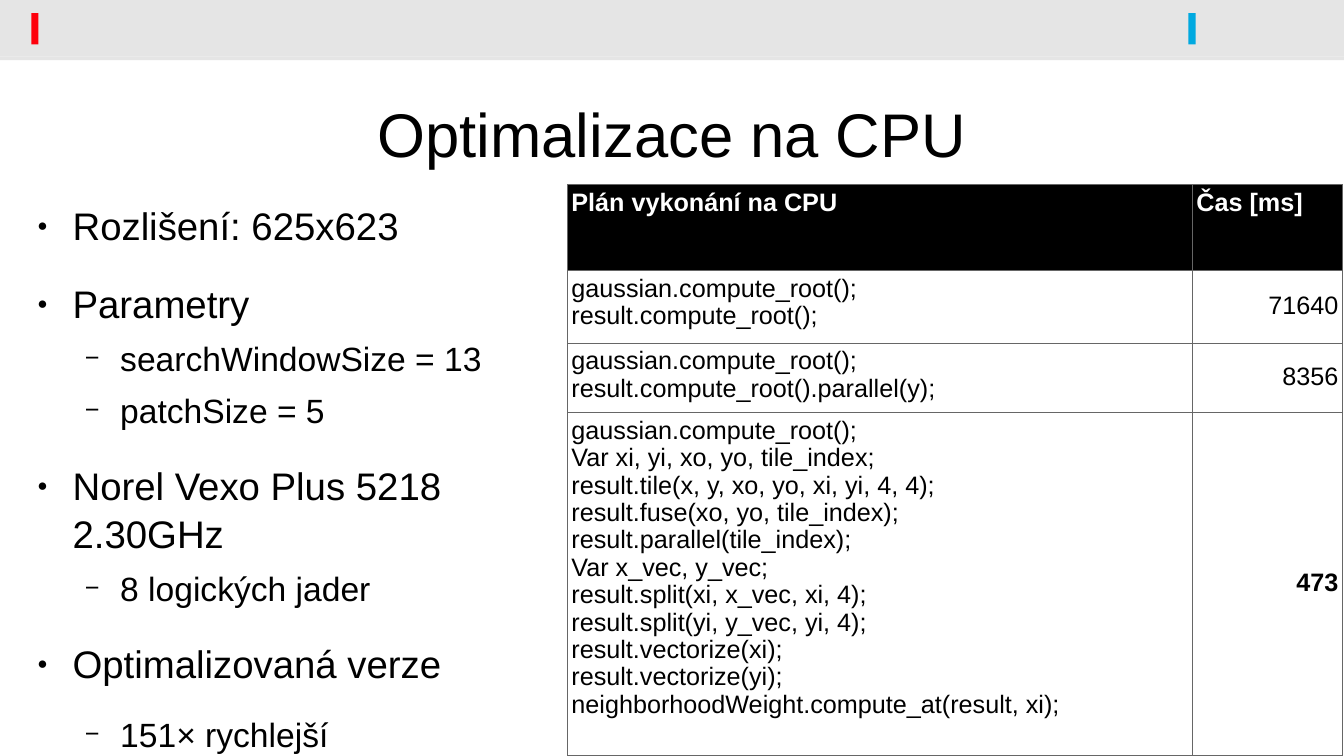
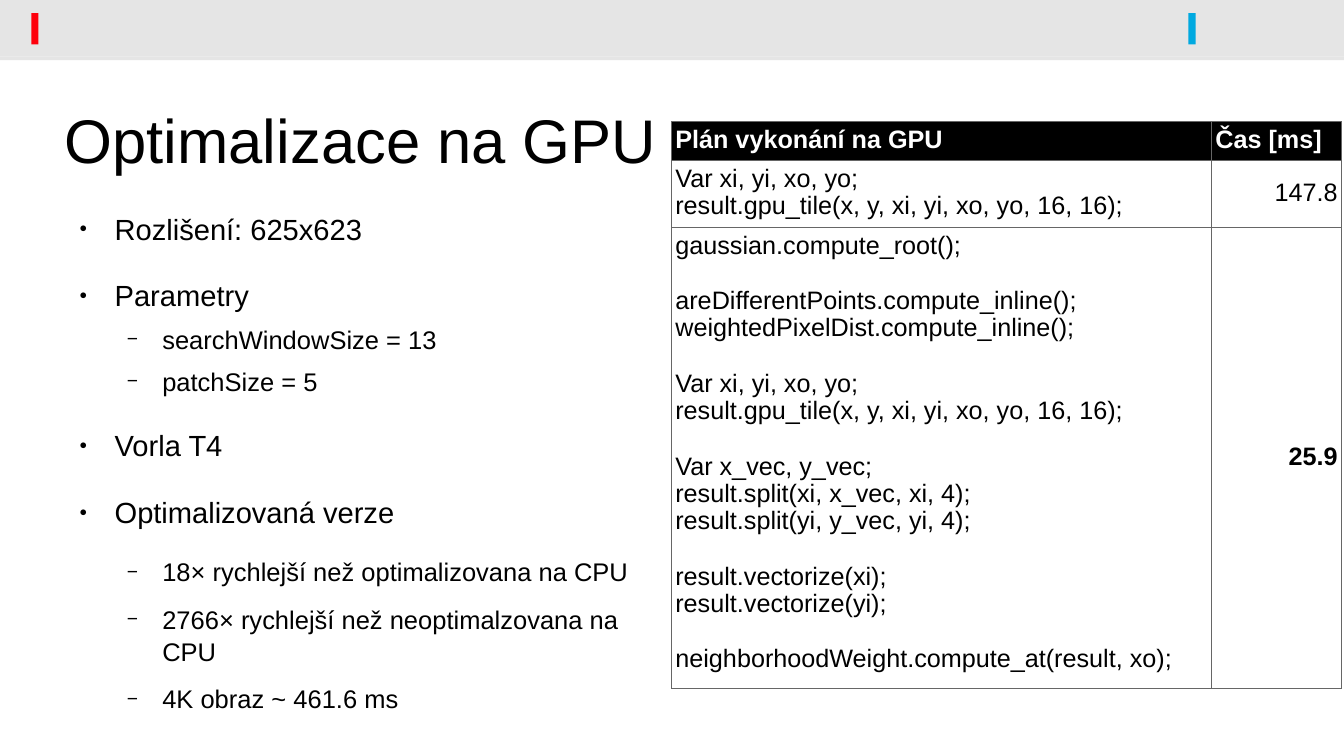
from dataclasses import dataclass

from lxml import etree
from pptx import Presentation
from pptx.dml.color import RGBColor
from pptx.enum.shapes import MSO_SHAPE
from pptx.enum.text import MSO_ANCHOR, MSO_AUTO_SIZE, PP_ALIGN
from pptx.oxml.ns import qn
from pptx.util import Cm, Pt

RECTANGLE = MSO_SHAPE.RECTANGLE
TOP, MIDDLE = MSO_ANCHOR.TOP, MSO_ANCHOR.MIDDLE
LEFT, CENTER, RIGHT = PP_ALIGN.LEFT, PP_ALIGN.CENTER, PP_ALIGN.RIGHT
NO_AUTOFIT = MSO_AUTO_SIZE.NONE


@dataclass(frozen=True)
class Theme:
    font: str = "Arial"
    text: str = "000000"
    paper: str = "FFFFFF"
    band: str = "E5E5E5"
    red: str = "FE000C"
    blue: str = "00A9E0"
    border: str = "666666"
    title_size: float = 44
    table_size: float = 18
    border_width: float = 0.57
    code_gap: float = 20
    code_spacing: float = 0.97
    list_spacing: float = 1.04


@dataclass(frozen=True)
class ListStyle:
    level: int
    margin: float
    bullet: str
    bullet_percent: int
    before: float
    after: float


THEME = Theme()
BULLET_HANG = 0.89
LIST_STYLES = {
    "topic": ListStyle(0, 1.19, "●", 45, 14.4, 7.2),
    "detail": ListStyle(1, 2.39, "−", 75, 0, 7.2),
    "result": ListStyle(1, 2.39, "−", 75, 11.3, 0),
}

# left, top, width, height in cm, fill
BANDS = [
    (0, 0, 33.87, 1.42, THEME.band),
    (0, 1.42, 33.87, 0.1, THEME.band),
    (0.79, 0.33, 0.18, 0.79, THEME.red),
    (29.95, 0.33, 0.18, 0.79, THEME.blue),
]

CPU_TILED = """gaussian.compute_root();
Var xi, yi, xo, yo, tile_index;
result.tile(x, y, xo, yo, xi, yi, 4, 4);
result.fuse(xo, yo, tile_index);
result.parallel(tile_index);
Var x_vec, y_vec;
result.split(xi, x_vec, xi, 4);
result.split(yi, y_vec, yi, 4);
result.vectorize(xi);
result.vectorize(yi);
neighborhoodWeight.compute_at(result, xi);"""

GPU_TILED = """gaussian.compute_root();

areDifferentPoints.compute_inline();
weightedPixelDist.compute_inline();

Var xi, yi, xo, yo;
result.gpu_tile(x, y, xi, yi, xo, yo, 16, 16);

Var x_vec, y_vec;
result.split(xi, x_vec, xi, 4);
result.split(yi, y_vec, yi, 4);

result.vectorize(xi);
result.vectorize(yi);

neighborhoodWeight.compute_at(result, xo);"""

SETUP = [
    ("topic", "Rozlišení: 625x623"),
    ("topic", "Parametry"),
    ("detail", "searchWindowSize = 13"),
    ("detail", "patchSize = 5"),
]

SLIDES = [
    {
        "title": "Optimalizace na CPU",
        "title_box": (1.7, 1.75, 30.48, 3.18),
        "list_box": (0.64, 5.05, 14.17, 13.36),
        "list_sizes": (27.4, 24),
        "items": SETUP + [
            ("topic", "Norel Vexo Plus 5218 2.30GHz"),
            ("detail", "8 logických jader"),
            ("topic", "Optimalizovaná verze"),
            ("result", "151× rychlejší"),
        ],
        "table_corner": (14.3, 4.65),
        "columns": (15.75, 3.78),
        "row_heights": (2.16, 1.83, 1.75, 8.64),
        "rows": [
            ("Plán vykonání na CPU", "Čas [ms]"),
            ("gaussian.compute_root();\nresult.compute_root();", "71640"),
            ("gaussian.compute_root();\nresult.compute_root().parallel(y);", "8356"),
            (CPU_TILED, "473"),
        ],
    },
    {
        "title": "Optimalizace na GPU",
        "title_box": (1.27, 1.91, 15.65, 3.18),
        "list_box": (1.7, 5.28, 14.17, 12.73),
        "list_sizes": (20.8, 18.2),
        "items": SETUP + [
            ("topic", "Vorla T4"),
            ("topic", "Optimalizovaná verze"),
            ("result", "18× rychlejší než optimalizovana na CPU"),
            ("result", "2766× rychlejší než neoptimalzovana na CPU"),
            ("result", "4K obraz ~ 461.6 ms"),
        ],
        "table_corner": (16.92, 3.07),
        "columns": (13.61, 3.28),
        "row_heights": (0.97, 1.68, 11.63),
        "rows": [
            ("Plán vykonání na GPU", "Čas [ms]"),
            ("Var xi, yi, xo, yo;\nresult.gpu_tile(x, y, xi, yi, xo, yo, 16, 16);", "147.8"),
            (GPU_TILED, "25.9"),
        ],
    },
]


def style_font(font, size, color=THEME.text, bold=False):
    font.name = THEME.font
    font.size = Pt(size)
    font.bold = bold
    font.color.rgb = RGBColor.from_string(color)


def prepare_placeholder(shape, box, anchor):
    """Move a placeholder to a box in cm and clear its insets and autofit."""
    shape.left, shape.top, shape.width, shape.height = map(Cm, box)
    frame = shape.text_frame
    frame.margin_left = frame.margin_top = frame.margin_right = frame.margin_bottom = 0
    frame.word_wrap = True
    frame.auto_size = NO_AUTOFIT
    frame.vertical_anchor = anchor
    return frame


presentation = Presentation()
presentation.slide_width = Cm(33.87)
presentation.slide_height = Cm(19.05)
layout = presentation.slide_layouts[1]
slides = [presentation.slides.add_slide(layout) for _ in SLIDES]

# The bands are drawn once and moved to the back of the master
master_tree = presentation.slide_master.shapes.element
for index, (left, top, width, height, color) in enumerate(BANDS):
    band = slides[0].shapes.add_shape(RECTANGLE, Cm(left), Cm(top), Cm(width), Cm(height))
    band.shadow.inherit = False
    band.fill.solid()
    band.fill.fore_color.rgb = RGBColor.from_string(color)
    band.line.fill.background()
    band.element.nvSpPr.cNvPr.set("id", str(20 + index))
    master_tree.insert(2 + index, band.element)

for slide, content in zip(slides, SLIDES):
    title_frame = prepare_placeholder(slide.shapes.title, content["title_box"], MIDDLE)
    title_frame.text = content["title"]
    title = title_frame.paragraphs[0]
    title.alignment = CENTER
    style_font(title.font, THEME.title_size)

    # Table of execution plans
    rows = content["rows"]
    left, top = content["table_corner"]
    table = slide.shapes.add_table(
        len(rows), 2, Cm(left), Cm(top),
        Cm(sum(content["columns"])), Cm(sum(content["row_heights"])),
    ).table
    table.horz_banding = False
    for column, width in zip(table.columns, content["columns"]):
        column.width = Cm(width)
    for row, height in zip(table.rows, content["row_heights"]):
        row.height = Cm(height)

    for row_index, row in enumerate(rows):
        header = row_index == 0
        for column_index, text in enumerate(row):
            is_time = column_index == 1 and not header
            best_time = is_time and row_index == len(rows) - 1
            cell = table.cell(row_index, column_index)
            cell.margin_left = cell.margin_right = Cm(0.1)
            cell.margin_top = cell.margin_bottom = Cm(0.13)
            cell.vertical_anchor = MIDDLE if is_time else TOP

            properties = cell._tc.get_or_add_tcPr()
            for side in ("lnL", "lnR", "lnT", "lnB"):
                line = etree.SubElement(properties, qn(f"a:{side}"), w=str(Pt(THEME.border_width)))
                fill = etree.SubElement(line, qn("a:solidFill"))
                etree.SubElement(fill, qn("a:srgbClr"), val=THEME.border)
            cell.fill.solid()
            cell.fill.fore_color.rgb = RGBColor.from_string(THEME.text if header else THEME.paper)

            frame = cell.text_frame
            for block_index, block in enumerate(text.split("\n\n")):
                for line_index, code_line in enumerate(block.split("\n")):
                    starts_cell = block_index == line_index == 0
                    paragraph = frame.paragraphs[0] if starts_cell else frame.add_paragraph()
                    paragraph.text = code_line
                    paragraph.alignment = RIGHT if is_time else LEFT
                    paragraph.line_spacing = THEME.code_spacing
                    if block_index and line_index == 0:
                        paragraph.space_before = Pt(THEME.code_gap)
                    style_font(paragraph.font, THEME.table_size,
                               THEME.paper if header else THEME.text, header or best_time)

    # List of settings and results
    frame = prepare_placeholder(slide.placeholders[1], content["list_box"], TOP)
    for index, (kind, text) in enumerate(content["items"]):
        style = LIST_STYLES[kind]
        paragraph = frame.add_paragraph() if index else frame.paragraphs[0]
        paragraph.text = text
        paragraph.level = style.level
        properties = paragraph._p.get_or_add_pPr()
        properties.set("marL", str(Cm(style.margin)))
        properties.set("indent", str(-Cm(BULLET_HANG)))
        bullet_color = etree.SubElement(properties, qn("a:buClr"))
        etree.SubElement(bullet_color, qn("a:srgbClr"), val=THEME.text)
        etree.SubElement(properties, qn("a:buSzPct"), val=str(style.bullet_percent * 1000))
        etree.SubElement(properties, qn("a:buFont"), typeface=THEME.font)
        etree.SubElement(properties, qn("a:buChar"), char=style.bullet)
        paragraph.line_spacing = THEME.list_spacing
        paragraph.space_before = Pt(style.before if index else 0)
        paragraph.space_after = Pt(style.after)
        style_font(paragraph.font, content["list_sizes"][style.level])

presentation.save("out.pptx")
